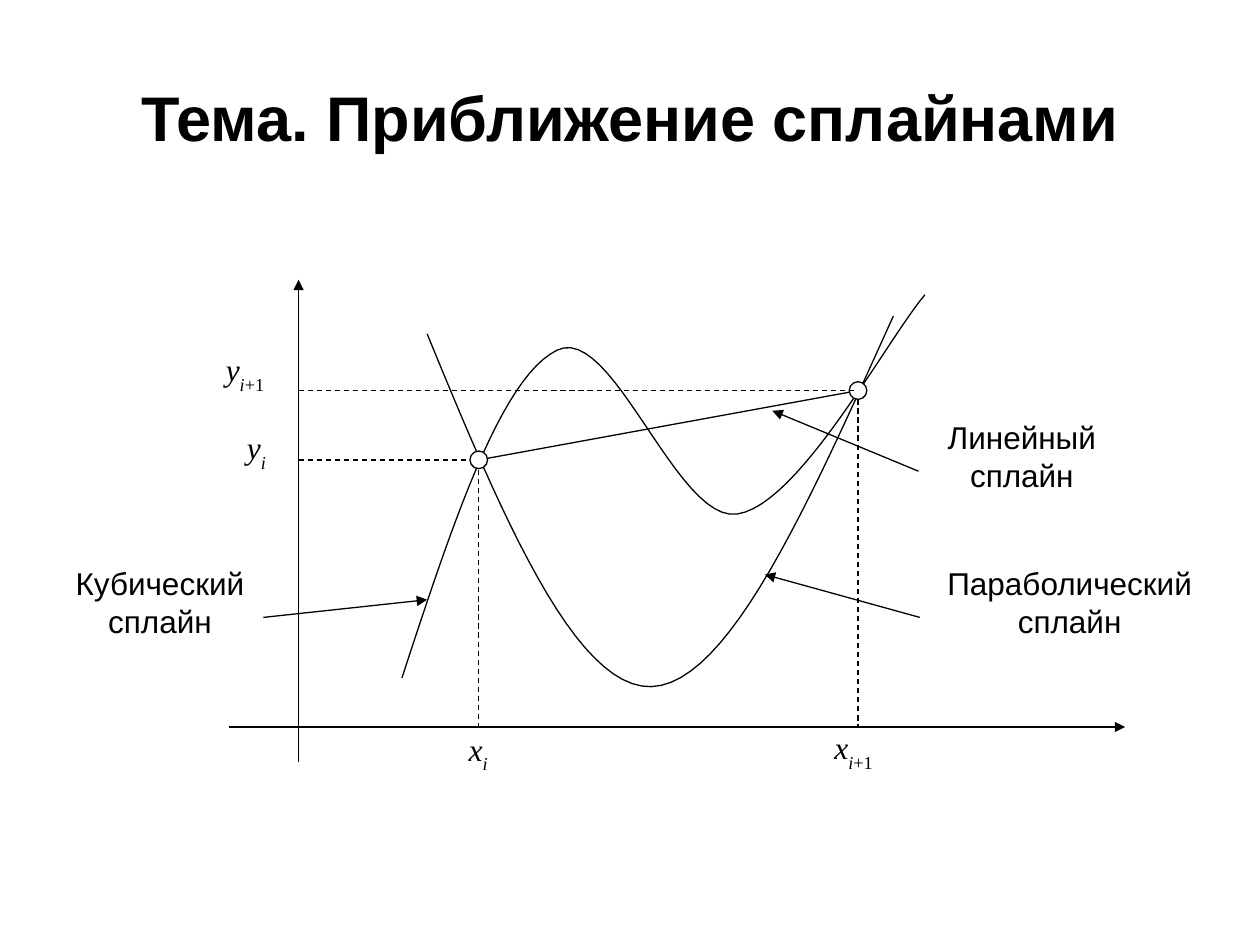
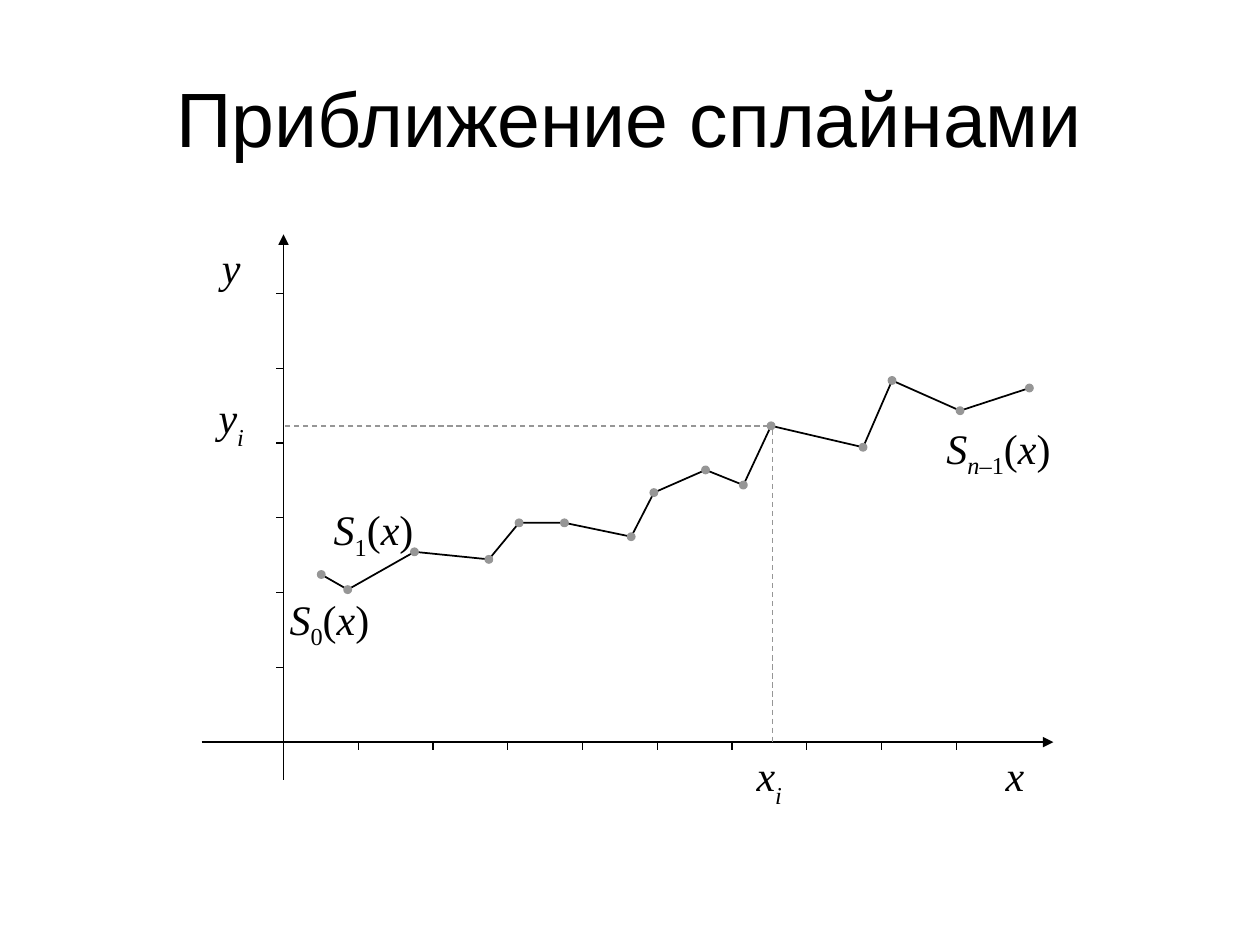
"""Build two slides on spline approximation."""
from dataclasses import dataclass
from lxml.etree import SubElement
from pptx import Presentation
from pptx.dml.color import RGBColor
from pptx.enum.dml import MSO_LINE as Dash
from pptx.enum.shapes import MSO_CONNECTOR as Link, MSO_SHAPE as Shape
from pptx.enum.text import MSO_ANCHOR as Anchor, MSO_AUTO_SIZE as Fit, PP_ALIGN as Align
from pptx.oxml.ns import qn
from pptx.util import Inches, Pt

BLACK = RGBColor(0, 0, 0)
WHITE = RGBColor(255, 255, 255)
GREY = RGBColor(150, 150, 150)

TITLE = {"name": "Arial", "size": Pt(44), "bold": False}
THEME = {"name": "Arial", "size": Pt(36), "bold": True}
NOTE = {"name": "Arial", "size": Pt(18)}
SMALL = {"name": "Times New Roman", "size": Pt(18)}
LARGE = {"name": "Times New Roman", "size": Pt(24)}
PLAIN = {"word_wrap": True, "auto_size": Fit.NONE, "vertical_anchor": Anchor.TOP,
         "margin_left": 0, "margin_top": 0, "margin_right": 0, "margin_bottom": 0}
MIDDLE = {"word_wrap": True, "auto_size": Fit.NONE, "vertical_anchor": Anchor.MIDDLE}

CUBIC = [(0.82, 3.16), (1.21, 1.97), (1.6, 0.78), (2.05, 0.56), (2.49, 0.34),
         (3, 1.93), (3.48, 1.86), (3.97, 1.79), (4.66, 0.49), (4.97, 0.12)]
PARAB = [(1.02, 0.43), (1.6, 1.84), (2.19, 3.25), (2.8, 3.23),
         (3.42, 3.21), (4.06, 1.75), (4.72, 0.29)]
KNOTS = [(0.3, 2.7), (0.51, 2.82), (1.04, 2.52), (1.63, 2.58), (1.87, 2.29),
         (2.23, 2.29), (2.76, 2.4), (2.94, 2.05), (3.35, 1.87), (3.65, 1.99),
         (3.87, 1.52), (4.6, 1.69), (4.83, 1.16), (5.37, 1.4), (5.92, 1.22)]
STEP = 5.34 / 9


def style(item, values):
    """Set each attribute of the item from a dict."""
    for key, value in values.items():
        setattr(item, key, value)


def write(para, text, look):
    """Add a black run with the given look."""
    run = para.add_run()
    run.text = text
    style(run.font, look)
    run.font.color.rgb = BLACK
    return run


def bezier(points, count=24):
    """Sample a chain of cubic curves."""
    result = [points[0]]
    for start in range(0, len(points) - 1, 3):
        quad = points[start:start + 4]
        for step in range(1, count + 1):
            t = step / count
            parts = ((1 - t) ** 3, 3 * t * (1 - t) ** 2, 3 * t * t * (1 - t), t ** 3)
            result.append(tuple(sum(w * p[axis] for w, p in zip(parts, quad))
                                for axis in (0, 1)))
    return result


@dataclass
class Plot:
    """A plot box whose left and bottom sides are the axes."""
    slide: object
    left: float
    top: float
    width: float
    height: float

    def spot(self, point):
        """Turn a point in the box into slide lengths."""
        return Inches(self.left + point[0]), Inches(self.top + point[1])

    def line(self, start, end, color=BLACK, dash=False, arrow=False):
        """Draw a straight line, dashed or with an arrowhead."""
        link = self.slide.shapes.add_connector(
            Link.STRAIGHT, *self.spot(start), *self.spot(end))
        link.line.color.rgb = color
        link.line.width = Pt(0.75)
        if dash:
            link.line.dash_style = Dash.DASH
        props = link._element.spPr
        if arrow:
            SubElement(props.find(qn("a:ln")), qn("a:tailEnd"), type="triangle")
        SubElement(props, qn("a:effectLst"))

    def trace(self, points, width):
        """Draw an open outline through the points."""
        first, *rest = [self.spot(point) for point in points]
        build = self.slide.shapes.build_freeform(*first)
        build.add_line_segments(rest, close=False)
        shape = build.convert_to_shape()
        shape.shadow.inherit = False
        shape.fill.background()
        shape.line.color.rgb = BLACK
        shape.line.width = Pt(width)

    def dot(self, center, radius, fill, edge):
        """Draw a circle around a point."""
        x, y = center
        size = Inches(2 * radius)
        shape = self.slide.shapes.add_shape(
            Shape.OVAL, *self.spot((x - radius, y - radius)), size, size)
        shape.shadow.inherit = False
        shape.fill.solid()
        shape.fill.fore_color.rgb = fill
        shape.line.color.rgb = edge
        shape.line.width = Pt(0.75)

    def frame(self, point, width, height):
        """Add an empty centred text box and return its paragraph."""
        box = self.slide.shapes.add_textbox(
            *self.spot(point), Inches(width), Inches(height))
        style(box.text_frame, PLAIN)
        para = box.text_frame.paragraphs[0]
        para.alignment = Align.CENTER
        return para

    def math(self, marks, point, width, height, look, drop=-30):
        """Write marks split by spaces; an underscore makes an index."""
        para = self.frame(point, width, height)
        for mark in marks.split():
            text = mark.lstrip("_")
            run = write(para, text, {**look, "italic": text[0].isalpha()})
            if text != mark:
                run._r.get_or_add_rPr().set("baseline", str(drop * 1000))

    def axes(self, before, below):
        """Draw both axes, reaching past the origin."""
        self.line((-before, self.height), (self.width, self.height), arrow=True)
        self.line((0, self.height + below), (0, 0), arrow=True)


def head(deck, text, look):
    """Add a slide with a formatted title."""
    slide = deck.slides.add_slide(deck.slide_layouts[5])
    title = slide.shapes.title
    style(title, {"left": Inches(0.5), "top": Inches(0.3),
                  "width": Inches(9), "height": Inches(1.25)})
    style(title.text_frame, MIDDLE)
    para = title.text_frame.paragraphs[0]
    para.alignment = Align.CENTER
    write(para, text, look)
    return slide


def kinds(slide, box):
    """Compare linear, parabolic and cubic splines between two nodes."""
    plot = Plot(slide, *box)
    near, far = (1.43, 1.43), (4.44, 0.88)
    for curve in (CUBIC, PARAB):
        plot.trace(bezier(curve), 0.75)
    plot.line(near, far)
    plot.axes(0.55, 0.28)
    for node in (near, far):
        plot.dot(node, 0.07, WHITE, BLACK)
    for start, end in (((0, 1.43), (1.36, 1.43)), ((1.43, 1.51), (1.43, plot.height)),
                       ((4.44, 0.95), (4.44, plot.height)), ((0, 0.88), far)):
        plot.line(start, end, dash=True)
    for marks, point in (("y _i _+1", (-0.94, 0.56)), ("y _i", (-0.85, 1.18)),
                         ("x _i", (0.91, 3.57)), ("x _i _+1", (3.89, 3.56))):
        plot.math(marks, point, 1.03, 0.62, SMALL)
    for text, point, width, start, end in (
            ("Кубический сплайн", (-1.99, 2.26), 1.78, (-0.28, 2.68), (1.02, 2.54)),
            ("Линейный сплайн", (4.85, 1.1), 1.78, (4.92, 1.52), (3.76, 1.04)),
            ("Параболический сплайн", (4.99, 2.26), 2.26, (4.93, 2.68), (3.7, 2.34))):
        write(plot.frame(point, width, 0.75), text, NOTE)
        plot.line(start, end, arrow=True)


def chain(slide, box):
    """Plot a broken line through the knots with its pieces named."""
    plot = Plot(slide, *box)
    base = plot.height
    plot.trace(KNOTS, 1)
    plot.axes(0.65, 0.3)
    for count in range(1, 10):
        plot.line((count * STEP, base), (count * STEP, base + 0.06))
    for count in range(1, 7):
        plot.line((0, base - count * STEP), (-0.06, base - count * STEP))
    for knot in KNOTS:
        plot.dot(knot, 0.03, GREY, GREY)
    plot.line((3.88, 1.55), (3.88, base), GREY, dash=True)
    plot.line((3.85, 1.52), (0, 1.52), GREY, dash=True)
    for marks, point in (("y", (-0.71, 0.06)), ("x", (5.51, 4.09)),
                         ("x _i", (3.56, 4.09)), ("y _i", (-0.71, 1.25))):
        plot.math(marks, point, 0.59, 0.47, LARGE)
    for marks, point, width in (("S _0 ( x )", (0.01, 2.85), 0.71),
                                ("S _1 ( x )", (0.36, 2.14), 0.71),
                                ("S _n– _1 ( x )", (5.19, 1.49), 0.97)):
        plot.math(marks, point, width, 0.47, LARGE, drop=-25)


def main():
    """Build and save the deck."""
    deck = Presentation()
    style(deck, {"slide_width": Inches(10), "slide_height": Inches(7.5)})
    kinds(head(deck, "Тема. Приближение сплайнами", THEME), (2.37, 2.22, 6.56, 3.55))
    chain(head(deck, "Приближение сплайнами", TITLE), (2.25, 1.86, 6.11, 4.03))
    deck.save("out.pptx")


if __name__ == "__main__":
    main()
